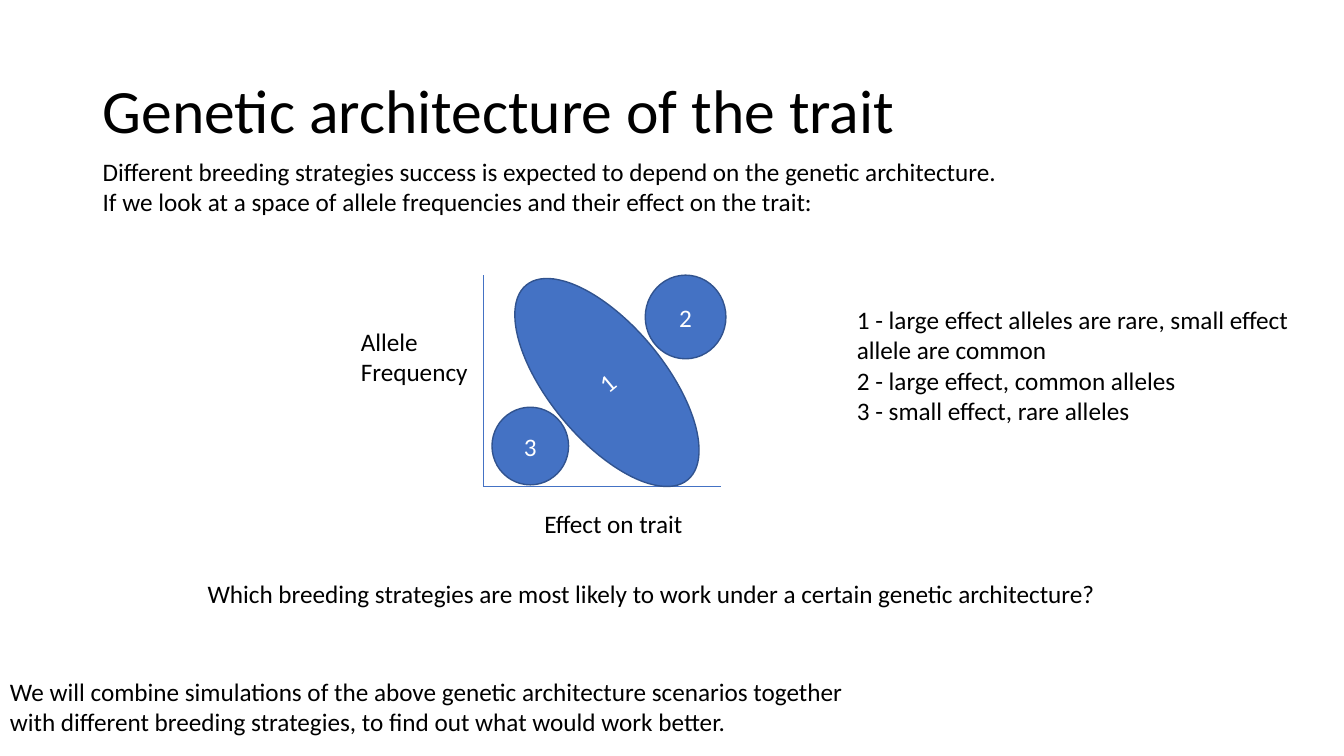
import pptx
import pptx.dml.color
import pptx.enum.shapes
import pptx.enum.text
import pptx.oxml.ns
import pptx.util
from pptx.util import Inches

THEME = {
    "font": "Calibri",
    "title_size": 44,
    "body_size": 18,
    "text": "000000",
    "on_fill": "FFFFFF",
    "fill": "4472C4",
    "outline": "31538F",
    "outline_width": 1,
    "axis": "4472C4",
    "axis_width": 0.75,
}

TITLE = ("Genetic architecture of the trait", (0.92, 0.4, 11.5, 1.45))

# Lines of text, then left, top, width, height
INTRODUCTION = (
    ["Different breeding strategies success is expected to depend on the genetic architecture.",
     "If we look at a space of allele frequencies and their effect on the trait:"],
    (0.92, 1.5, 10.21, 0.71))
FREQUENCY_LABEL = (["Allele", "Frequency"], (3.48, 3.19, 1.28, 0.71))
LEGEND = (
    ["1 - large effect alleles are rare, small effect allele are common",
     "2 - large effect, common alleles",
     "3 - small effect, rare alleles"],
    (8.4, 2.97, 4.54, 1.62))
PLAN = (
    ["We will combine simulations of the above genetic architecture scenarios together "
     "with different breeding strategies, to find out what would work better."],
    (0, 6.66, 8.71, 0.94))
QUESTION = (
    ["Which breeding strategies are most likely to work under a certain genetic architecture?"],
    (1.96, 5.64, 9.41, 0.5))
EFFECT_LABEL = (["Effect on trait"], (5.3, 4.99, 1.59, 0.4))

AXIS_ORIGIN = (4.8, 4.83)
AXIS_ENDS = [(4.8, 2.73), (7.15, 4.83)]

# Number, box, rotation in degrees
SCENARIOS = [
    ("3", (4.88, 4.04, 0.76, 0.77), 0),
    ("2", (6.4, 2.73, 0.8, 0.83), 0),
    ("1", (5.45, 2.54, 1.14, 2.51), 320.3),
]


def color(name):
    return pptx.dml.color.RGBColor.from_string(THEME[name])


def format_text(text_frame, size="body_size", text_color="text"):
    for paragraph in text_frame.paragraphs:
        for run in paragraph.runs:
            run.font.name = THEME["font"]
            run.font.size = pptx.util.Pt(THEME[size])
            run.font.color.rgb = color(text_color)


def add_text(slide, lines, box, wrap=True, padding=0.05):
    """Add a top-anchored text box that grows with its text."""
    text_frame = slide.shapes.add_textbox(*map(Inches, box)).text_frame
    text_frame.word_wrap = wrap
    text_frame.auto_size = pptx.enum.text.MSO_AUTO_SIZE.SHAPE_TO_FIT_TEXT
    text_frame.margin_top = text_frame.margin_bottom = Inches(padding)
    text_frame.text = "\n".join(lines)
    format_text(text_frame)


def add_title(slide, text, box):
    text_frame = slide.shapes.add_textbox(*map(Inches, box)).text_frame
    text_frame.word_wrap = True
    text_frame.vertical_anchor = pptx.enum.text.MSO_ANCHOR.MIDDLE
    text_frame.text = text
    text_frame.paragraphs[0].line_spacing = 0.9
    format_text(text_frame, "title_size")


def add_axis(slide, end):
    axis = slide.shapes.add_connector(
        pptx.enum.shapes.MSO_CONNECTOR.STRAIGHT, *map(Inches, end + AXIS_ORIGIN))
    axis.line.color.rgb = color("axis")
    axis.line.width = pptx.util.Pt(THEME["axis_width"])
    properties = axis._element.spPr
    properties.append(properties.makeelement(pptx.oxml.ns.qn("a:effectLst"), {}))


def add_scenario(slide, number, box, rotation):
    shape = slide.shapes.add_shape(
        pptx.enum.shapes.MSO_SHAPE.OVAL, *map(Inches, box))
    shape.rotation = rotation
    shape.shadow.inherit = False
    shape.fill.solid()
    shape.fill.fore_color.rgb = color("fill")
    shape.line.color.rgb = color("outline")
    shape.line.width = pptx.util.Pt(THEME["outline_width"])
    text_frame = shape.text_frame
    text_frame.text = number
    text_frame.vertical_anchor = pptx.enum.text.MSO_ANCHOR.MIDDLE
    text_frame.paragraphs[0].alignment = pptx.enum.text.PP_ALIGN.CENTER
    format_text(text_frame, text_color="on_fill")


def main():
    presentation = pptx.Presentation()
    presentation.slide_width = Inches(13.33)
    presentation.slide_height = Inches(7.5)
    slide = presentation.slides.add_slide(presentation.slide_layouts[6])

    add_title(slide, *TITLE)
    add_text(slide, *INTRODUCTION)
    for end in AXIS_ENDS:
        add_axis(slide, end)
    for scenario in SCENARIOS:
        add_scenario(slide, *scenario)
    for lines, box in (FREQUENCY_LABEL, LEGEND, PLAN):
        add_text(slide, lines, box)
    add_text(slide, *QUESTION, padding=0.1)
    add_text(slide, *EFFECT_LABEL, wrap=False)

    presentation.save("out.pptx")


if __name__ == "__main__":
    main()
